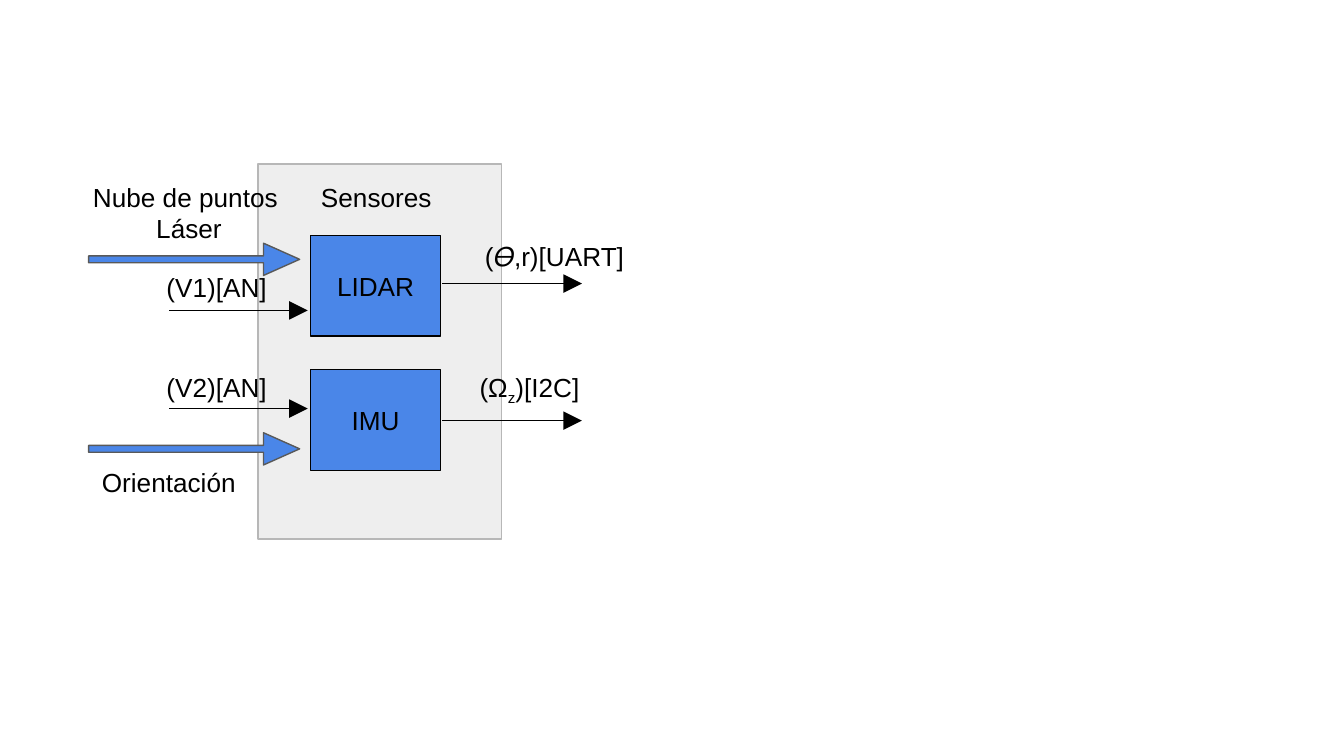
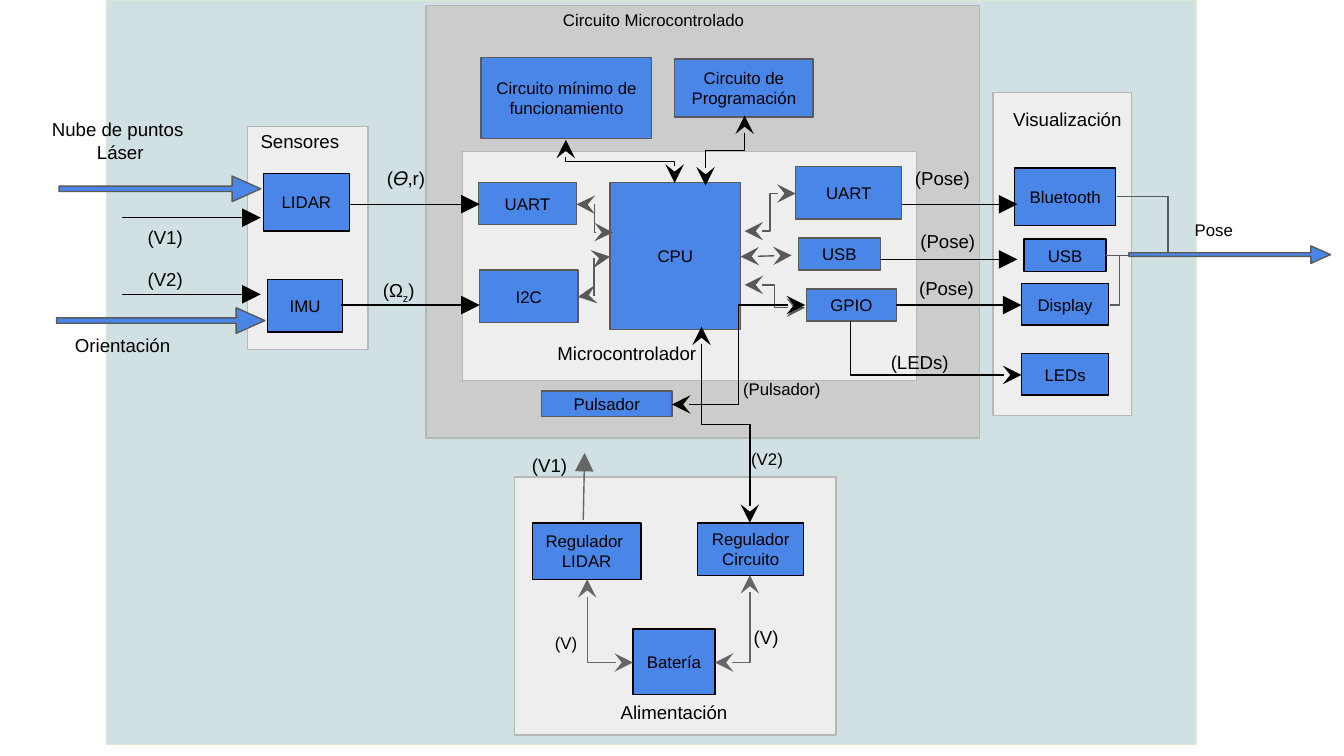
"""Builds two block diagrams of a sensor system: the sensors alone and the whole circuit."""
from lxml import etree
from pptx import Presentation
from pptx.dml.color import RGBColor as RGB
from pptx.enum.shapes import MSO_CONNECTOR as CONN, MSO_SHAPE as SHAPE
from pptx.enum.text import MSO_ANCHOR as ANCHOR, PP_ALIGN as ALIGN
from pptx.oxml.ns import qn
from pptx.util import Inches, Pt

C = {
    "block": "4A86E8", "panel": "EEEEEE", "board": "CCCCCC", "system": "D0E0E3",
    "edge": "B7B7B7", "pale": "D9EAD3", "black": "000000", "gray": "595959", "power": "666666",
}
FONT = "Arial"


def add_box(s, text, at, size=9, fill=None, line="black", kind=SHAPE.RECTANGLE, center=False):
    """Add a filled shape, or a plain text box when no fill is given; |x| marks a subscript."""
    at = [Inches(v) for v in at]
    if fill:
        sp = s.shapes.add_shape(kind, *at)
        sp.shadow.inherit = False
        sp.fill.solid()
        sp.fill.fore_color.rgb = RGB.from_string(C[fill])
        sp.line.color.rgb = RGB.from_string(C[line])
        sp.line.width = Pt(0.75)
        if kind == SHAPE.RIGHT_ARROW:
            sp.adjustments[0], sp.adjustments[1] = 0.21, 1.12
    else:
        sp = s.shapes.add_textbox(*at)
    if not text:
        return
    tf = sp.text_frame
    tf.word_wrap = True
    tf.vertical_anchor = ANCHOR.MIDDLE if fill else ANCHOR.TOP
    tf.margin_left = tf.margin_right = tf.margin_top = tf.margin_bottom = Inches(0.1)
    for i, row in enumerate(text.split("\n")):
        p = tf.paragraphs[0] if i == 0 else tf.add_paragraph()
        p.alignment = ALIGN.CENTER if fill or center else ALIGN.LEFT
        for j, part in enumerate(row.split("|")):
            r = p.add_run()
            r.text = part
            r.font.size = Pt(size)
            r.font.name = FONT
            r.font.color.rgb = RGB.from_string(C["black"])
            if j % 2:
                r._r.get_or_add_rPr().set("baseline", "-25000")


def add_link(s, x1, y1, x2, y2, color="black", head=None, tail=None, bends=0, upright=False):
    """Add a straight or bent connector; upright ones leave their start vertically."""
    if upright:
        cx, cy, u, v = (x1 + x2) / 2, (y1 + y2) / 2, (y2 - y1) / 2, (x1 - x2) / 2
        x1, y1, x2, y2 = cx - u, cy - v, cx + u, cy + v
    kind = CONN.ELBOW if bends else CONN.STRAIGHT
    cn = s.shapes.add_connector(kind, *[Inches(v) for v in (x1, y1, x2, y2)])
    cn.line.color.rgb = RGB.from_string(C[color])
    cn.line.width = Pt(0.75)
    pr = cn._element.spPr
    if upright:
        pr.find(qn("a:xfrm")).set("rot", "5400000")
    if bends == 1:
        pr.find(qn("a:prstGeom")).set("prst", "bentConnector2")
    ln = pr.find(qn("a:ln"))
    for tag, end in (("a:headEnd", head), ("a:tailEnd", tail)):
        if end:
            etree.SubElement(ln, qn(tag), type=end, w="lg", len="lg")
    etree.SubElement(pr, qn("a:effectLst"))


prs = Presentation()
prs.slide_width, prs.slide_height = Inches(10), Inches(10 * 9 / 16)
blank = prs.slide_layouts[6]

s = prs.slides.add_slide(blank)
add_box(s, "", (1.92, 1.22, 1.81, 2.79), fill="panel", line="edge")
for name, y in (("LIDAR", 1.75), ("IMU", 2.75)):
    add_box(s, name, (2.31, y, 0.97, 0.75), size=14, fill="block")
for y in (1.81, 3.22):
    add_box(s, "", (0.66, y, 1.57, 0.24), fill="block", line="gray", kind=SHAPE.RIGHT_ARROW)
for x1, x2, y in ((3.29, 4.33, 2.11), (3.29, 4.33, 3.13), (1.26, 2.29, 3.04), (1.26, 2.29, 2.31)):
    add_link(s, x1, y, x2, y, tail="triangle")
add_box(s, "Nube de puntos\n Láser", (0.21, 1.25, 2.34, 0.43), size=14, center=True)
for text, *at in (
    ("Orientación", 0.66, 3.37, 1.44, 0.43),
    ("(𝛳,r)[UART]", 3.51, 1.69, 1.25, 0.49),
    ("Sensores", 2.29, 1.25, 1.07, 0.43),
    ("(V1)[AN]", 1.14, 1.92, 1, 0.49),
    ("(V2)[AN]", 1.14, 2.66, 0.97, 0.31),
    ("(Ω|z|)[I2C]", 3.47, 2.66, 0.97, 0.49),
):
    add_box(s, text, at, size=14)

s = prs.slides.add_slide(blank)
for fill, line, *at in (
    ("system", "pale", 0.79, 0, 8.11, 5.54),
    ("board", "edge", 3.17, 0.04, 4.12, 3.22),
    ("panel", "edge", 3.44, 1.13, 3.38, 1.7),
    ("panel", "edge", 7.39, 0.69, 1.03, 2.4),
    ("panel", "edge", 1.84, 0.94, 0.9, 1.66),
    ("panel", "edge", 3.83, 3.55, 2.39, 1.92),
):
    add_box(s, "", at, fill=fill, line=line)

outer_blocks = (
    ("Bluetooth", 7.55, 1.25, 0.75, 0.43),
    ("USB", 7.62, 1.78, 0.61, 0.24),
    ("Display", 7.6, 2.11, 0.65, 0.31),
    ("LEDs", 7.6, 2.63, 0.65, 0.31),
    ("LIDAR", 1.96, 1.29, 0.64, 0.43),
    ("IMU", 1.99, 2.08, 0.56, 0.39),
    ("Batería", 4.71, 4.68, 0.61, 0.49),
    ("Regulador \nLIDAR", 3.96, 3.89, 0.81, 0.42),
    ("Regulador \nCircuito", 5.19, 3.89, 0.79, 0.39),
)
board_blocks = (
    ("Circuito mínimo de funcionamiento", 3.58, 0.43, 1.27, 0.6),
    ("Circuito de Programación", 5.02, 0.44, 1.03, 0.43),
    ("Pulsador", 4.03, 2.91, 0.97, 0.19),
    ("CPU", 4.54, 1.36, 0.97, 1.09),
    ("UART", 3.56, 1.36, 0.73, 0.31),
    ("I2C", 3.57, 2.01, 0.73, 0.39),
    ("UART", 5.92, 1.24, 0.79, 0.39),
    ("USB", 5.94, 1.77, 0.61, 0.24),
    ("GPIO", 6, 2.15, 0.67, 0.24),
)
for line, blocks in (("black", outer_blocks), ("gray", board_blocks)):
    for text, *at in blocks:
        add_box(s, text, at, fill="block", line=line)
for at in ((0.44, 1.31, 1.5, 0.19), (0.42, 2.29, 1.55, 0.19), (8.4, 1.83, 1.5, 0.13)):
    add_box(s, "", at, fill="block", line="gray", kind=SHAPE.RIGHT_ARROW)

for ends in (
    (2.6, 1.52, 3.57, 1.52), (2.54, 2.27, 3.57, 2.27),
    (0.91, 2.19, 1.94, 2.19), (0.91, 1.62, 1.94, 1.62),
    (6.71, 1.52, 7.57, 1.52), (6.55, 1.93, 7.57, 1.93), (6.67, 2.27, 7.6, 2.27),
):
    add_link(s, *ends, tail="triangle")
add_link(s, 4.34, 3.87, 4.35, 3.37, color="power", tail="triangle")

for bends, *ends in ((1, 8.31, 1.46, 8.69, 1.88), (2, 8.26, 2.27, 8.4, 1.9), (2, 8.23, 1.9, 8.4, 1.9)):
    add_link(s, *ends, color="gray", bends=bends)
for color, bends, upright, *ends in (
    ("gray", 0, False, 5.51, 1.91, 5.89, 1.9),
    ("gray", 2, False, 4.29, 1.52, 4.56, 1.73),
    ("gray", 2, False, 4.3, 2.21, 4.54, 1.91),
    ("gray", 2, False, 5.54, 1.72, 5.92, 1.44),
    ("gray", 2, False, 5.54, 2.12, 5.99, 2.29),
    ("black", 2, False, 5, 3.01, 5.99, 2.27),
    ("black", 2, True, 4.21, 1.04, 5.02, 1.36),
    ("black", 2, True, 5.54, 0.86, 5.25, 1.38),
    ("black", 2, True, 5.58, 3.89, 5.22, 2.43),
    ("power", 1, False, 4.71, 4.93, 4.37, 4.31),
    ("power", 1, False, 5.32, 4.93, 5.58, 4.28),
):
    add_link(s, *ends, color=color, bends=bends, upright=upright, head="stealth", tail="stealth")
add_link(s, 6.33, 2.39, 7.6, 2.79, bends=1, upright=True, tail="stealth")

add_box(s, "Nube de puntos\n Láser", (0.18, 0.78, 1.39, 0.43), size=10, center=True)
for text, size, *at in (
    ("Orientación", 10, 0.46, 2.4, 0.97, 0.43),
    ("Sensores", 10, 1.84, 0.88, 0.88, 0.43),
    ("(V1)", 10, 1, 1.6, 0.49, 0.31),
    ("(V2)", 10, 1, 1.91, 0.61, 0.31),
    ("(𝛳,r)", 10, 2.78, 1.16, 0.61, 0.49),
    ("(Ω|z|)", 10, 2.75, 1.98, 0.61, 0.49),
    ("Circuito Microcontrolado", 9, 4.09, 0, 1.69, 0.34),
    ("Microcontrolador", 10, 4.05, 2.46, 1.27, 0.39),
    ("(Pulsador)", 9, 5.43, 2.74, 0.79, 0.24),
    ("(Pose)", 10, 6.71, 1.16, 0.9, 0.34),
    ("(Pose)", 10, 6.75, 1.63, 0.67, 0.24),
    ("(Pose)", 10, 6.74, 1.98, 0.67, 0.24),
    ("(LEDs)", 10, 6.53, 2.53, 0.67, 0.24),
    ("Visualización", 10, 7.44, 0.72, 1.35, 0.43),
    ("Pose", 9, 8.79, 1.56, 0.54, 0.31),
    ("(V1)", 10, 3.86, 3.29, 0.55, 0.28),
    ("(V2)", 9, 5.49, 3.26, 0.55, 0.34),
    ("(V)", 10, 5.51, 4.57, 0.5, 0.28),
    ("(V)", 9, 4.03, 4.63, 0.38, 0.37),
    ("Alimentación", 10, 4.52, 5.13, 1.39, 0.49),
):
    add_box(s, text, at, size=size)

prs.save("out.pptx")
